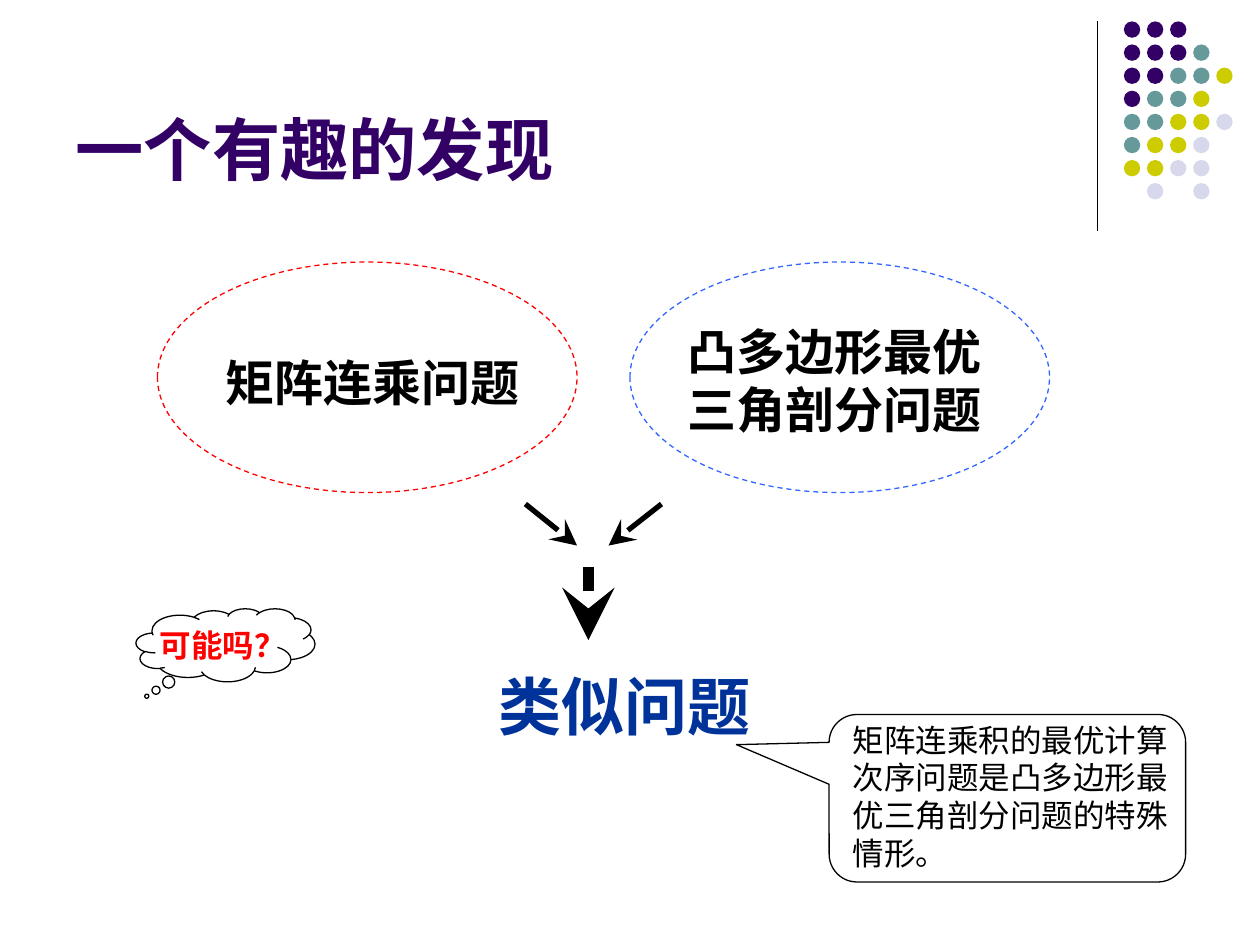
from lxml.etree import SubElement
from pptx import Presentation
from pptx.dml.color import RGBColor
from pptx.enum.dml import MSO_LINE
from pptx.enum.shapes import MSO_CONNECTOR, MSO_SHAPE
from pptx.enum.text import MSO_ANCHOR, MSO_AUTO_SIZE, PP_ALIGN
from pptx.oxml.ns import qn
from pptx.util import Inches, Pt

COLORS = {
    "purple": "330066", "teal": "669999", "olive": "CCCC00", "lilac": "D8D8EC",
    "black": "000000", "red": "FF0000", "blue": "3366FF", "navy": "003399",
}


def rgb(name):
    return RGBColor.from_string(COLORS[name])


def add_outline(kind, box, color):
    sp = s.shapes.add_shape(kind, *map(Inches, box))
    sp.shadow.inherit = False
    sp.fill.background()
    sp.line.color.rgb = rgb(color)
    sp.line.width = Pt(0.75)
    return sp


prs = Presentation()
prs.slide_width, prs.slide_height = Inches(10), Inches(7.5)
s = prs.slides.add_slide(prs.slide_layouts[5])

# Corner dots: one letter per dot colour
dot_rows = ["PPP", "PPPT", "PPTTO", "PTTO", "TTOOL", "TOOL", "OOLL", " L L"]
dot_colors = {"P": "purple", "T": "teal", "O": "olive", "L": "lilac"}
pitch = 0.55 / 3
for row, letters in enumerate(dot_rows):
    for col, letter in enumerate(letters):
        if letter == " ":
            continue
        dot = s.shapes.add_shape(
            MSO_SHAPE.OVAL, Inches(8.92 + col * pitch), Inches(0.17 + row * pitch),
            Inches(0.13), Inches(0.13))
        dot.shadow.inherit = False
        dot.fill.solid()
        dot.fill.fore_color.rgb = rgb(dot_colors[letter])
        dot.line.fill.background()

# Title
title = s.shapes.title
title.left, title.top = Inches(0.5), Inches(0.13)
title.width, title.height = Inches(8.25), Inches(1.42)
tf = title.text_frame
tf.text = "一个有趣的发现"
tf.vertical_anchor = MSO_ANCHOR.BOTTOM
p = tf.paragraphs[0]
p.alignment = PP_ALIGN.LEFT
p.font.name, p.font.size, p.font.bold = "Arial", Pt(39), True
p.font.color.rgb = rgb("purple")

# Dashed ellipses around the two problems
for left, color in [(1.25, "red"), (5, "blue")]:
    ellipse = add_outline(MSO_SHAPE.OVAL, (left, 2.08, 3.33, 1.83), color)
    ellipse.line.dash_style = MSO_LINE.DASH

# Thought cloud and speech callout
cloud = add_outline(MSO_SHAPE.CLOUD_CALLOUT, (1.08, 4.83, 1.42, 0.58), "black")
cloud.adjustments[0], cloud.adjustments[1] = -0.44, 0.7
callout = add_outline(
    MSO_SHAPE.ROUNDED_RECTANGULAR_CALLOUT, (6.58, 5.67, 2.83, 1.33), "black")
callout.rotation = 180
callout.adjustments[0], callout.adjustments[1] = 0.76, 0.32

# Divider beside the dots, and arrows to the conclusion
lines = [
    (8.71, 0.17, 8.71, 1.83, 0.75, False),
    (4.17, 4, 4.58, 4.33, 3, True),
    (5.25, 4, 4.83, 4.33, 3, True),
    (4.67, 4.5, 4.67, 5.08, 6, True),
]
for x1, y1, x2, y2, width, arrow in lines:
    line = s.shapes.add_connector(
        MSO_CONNECTOR.STRAIGHT, Inches(x1), Inches(y1), Inches(x2), Inches(y2))
    line.line.color.rgb = rgb("black")
    line.line.width = Pt(width)
    if arrow:
        SubElement(line.line._get_or_add_ln(), qn("a:tailEnd"),
                   type="stealth", w="lg", len="lg")
    SubElement(line._element.spPr, qn("a:effectLst"))

# Text blocks
texts = [
    ("矩阵连乘问题", (1.58, 2.75, 2.75, 0.57), 28, "black", True, PP_ALIGN.CENTER),
    ("凸多边形最优三角剖分问题", (5.25, 2.5, 2.75, 1.03), 28, "black", True, PP_ALIGN.CENTER),
    ("类似问题", (3.33, 5.25, 3.25, 0.7), 36, "navy", True, PP_ALIGN.CENTER),
    ("可能吗？", (1.17, 4.92, 1.33, 0.4), 18, "red", True, PP_ALIGN.LEFT),
    ("矩阵连乘积的最优计算次序问题是凸多边形最优三角剖分问题的特殊情形。",
     (6.67, 5.67, 2.75, 1.3), 18, "black", False, PP_ALIGN.LEFT),
]
for text, box, size, color, bold, align in texts:
    tf = s.shapes.add_textbox(*map(Inches, box)).text_frame
    tf.word_wrap = True
    tf.auto_size = MSO_AUTO_SIZE.SHAPE_TO_FIT_TEXT
    tf.text = text
    p = tf.paragraphs[0]
    p.alignment = align
    p.font.name, p.font.size, p.font.bold = "Arial", Pt(size), bold
    p.font.color.rgb = rgb(color)

prs.save("out.pptx")
